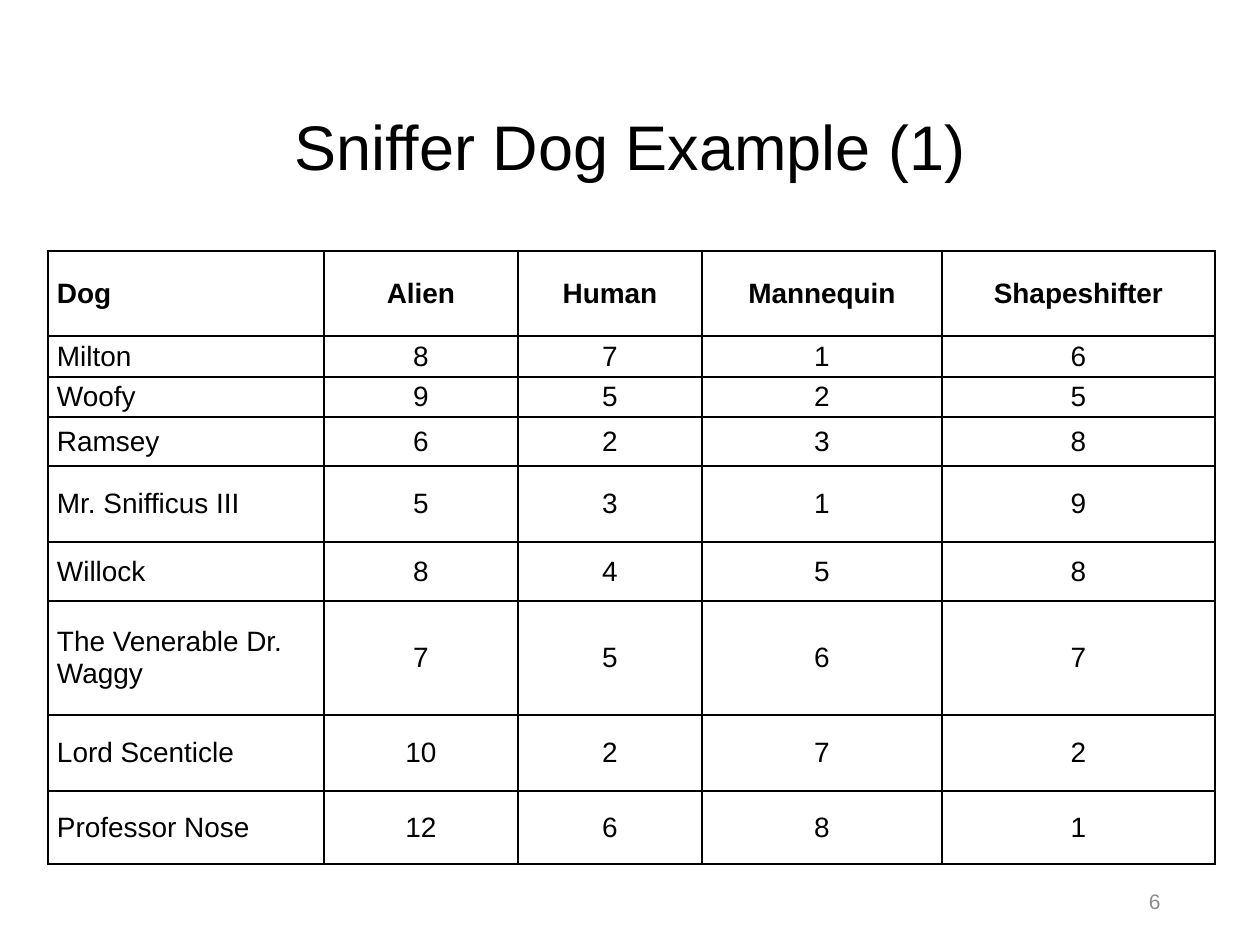
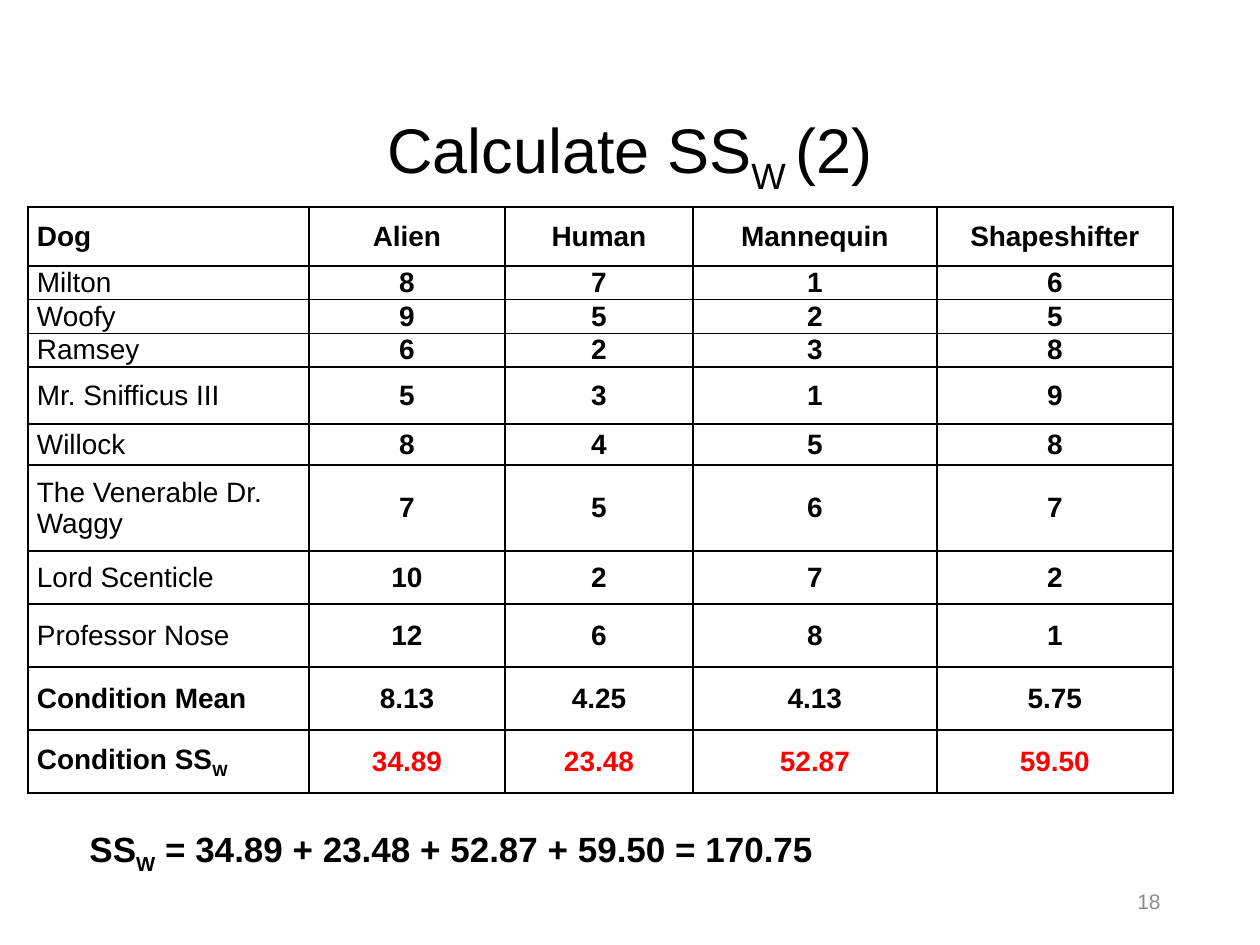
from lxml import etree
from pptx import Presentation
from pptx.dml.color import RGBColor
from pptx.enum.text import MSO_ANCHOR, MSO_AUTO_SIZE, PP_ALIGN
from pptx.oxml.ns import qn
from pptx.util import Emu, Pt

LEFT, CENTER, RIGHT = PP_ALIGN.LEFT, PP_ALIGN.CENTER, PP_ALIGN.RIGHT
MIDDLE = MSO_ANCHOR.MIDDLE
NO_AUTOFIT = MSO_AUTO_SIZE.NONE
TITLE_ONLY = 5

# Shared style
PX_PER_INCH = 126
FONT = "Arial"
BLACK, GREY, RED = "000000", "8C8C8C", "FF0000"
TITLE_SIZE, FORMULA_SIZE, TABLE_SIZE, NUMBER_SIZE = 36, 20, 16, 12
TITLE_BOX = (87, 59, 1086, 183)
NUMBER_BOX = (890, 876, 283, 50)
CELL_INSET = 9

# Table content; the text between two bars is a subscript
HEADER = ("Dog", "Alien", "Human", "Mannequin", "Shapeshifter")
SCORES = [
    ("Milton", 8, 7, 1, 6),
    ("Woofy", 9, 5, 2, 5),
    ("Ramsey", 6, 2, 3, 8),
    ("Mr. Snifficus III", 5, 3, 1, 9),
    ("Willock", 8, 4, 5, 8),
    ("The Venerable Dr. Waggy", 7, 5, 6, 7),
    ("Lord Scenticle", 10, 2, 7, 2),
    ("Professor Nose", 12, 6, 8, 1),
]
MEANS = ("Condition Mean", "8.13", "4.25", "4.13", "5.75")
SQUARES = ("Condition SS|W|", "34.89", "23.48", "52.87", "59.50")


def px(length):
    return Emu(round(length * 914400 / PX_PER_INCH))


def color(hex_string):
    return RGBColor.from_string(hex_string)


def write(text_frame, text, size, align=LEFT, hex_color=BLACK, bold=False):
    """Write one paragraph, with the text between bars as subscript."""
    paragraph = text_frame.paragraphs[0]
    paragraph.alignment = align
    for index, piece in enumerate(text.split("|")):
        if not piece:
            continue
        run = paragraph.add_run()
        run.text = piece
        run.font.name = FONT
        run.font.size = Pt(size)
        run.font.bold = bold
        run.font.color.rgb = color(hex_color)
        if index % 2:
            run._r.get_or_add_rPr().set("baseline", "-25000")
    return paragraph


def add_text(slide, box, text, size, **style):
    text_frame = slide.shapes.add_textbox(*map(px, box)).text_frame
    text_frame.word_wrap = True
    text_frame.vertical_anchor = MIDDLE
    write(text_frame, text, size, **style)


def add_titled_slide(presentation, title, number):
    slide = presentation.slides.add_slide(presentation.slide_layouts[TITLE_ONLY])
    shape = slide.shapes.title
    shape.left, shape.top, shape.width, shape.height = map(px, TITLE_BOX)
    shape.text_frame.auto_size = NO_AUTOFIT
    shape.text_frame.vertical_anchor = MIDDLE
    write(shape.text_frame, title, TITLE_SIZE, CENTER).line_spacing = 0.9
    add_text(slide, NUMBER_BOX, str(number), NUMBER_SIZE, align=RIGHT, hex_color=GREY)
    return slide


def add_borders(cell):
    properties = cell._tc.get_or_add_tcPr()
    for side in ("a:lnL", "a:lnR", "a:lnT", "a:lnB"):
        line = etree.SubElement(properties, qn(side), w=str(Pt(1)))
        fill = etree.SubElement(line, qn("a:solidFill"))
        etree.SubElement(fill, qn("a:srgbClr"), val=BLACK)


def format_cell(cell):
    add_borders(cell)
    cell.fill.background()
    cell.vertical_anchor = MIDDLE
    cell.margin_left = cell.margin_right = px(CELL_INSET)
    cell.margin_top = cell.margin_bottom = 0


def add_score_table(slide, left, top, widths, heights, rows, is_bold, red_row=None):
    box = (left, top, sum(widths), sum(heights))
    table = slide.shapes.add_table(len(rows), len(widths), *map(px, box)).table
    table.first_row = table.horz_banding = False
    for column, width in zip(table.columns, widths):
        column.width = px(width)
    for row, height in zip(table.rows, heights):
        row.height = px(height)
    for row_index, values in enumerate(rows):
        for column_index, value in enumerate(values):
            cell = table.cell(row_index, column_index)
            format_cell(cell)
            is_label = column_index == 0
            is_red = row_index == red_row and not is_label
            write(cell.text_frame, str(value), TABLE_SIZE,
                  align=LEFT if is_label else CENTER,
                  hex_color=RED if is_red else BLACK,
                  bold=is_bold(row_index, column_index))


def build_example(presentation):
    slide = add_titled_slide(presentation, "Sniffer Dog Example (1)", 6)
    add_score_table(
        slide, 48, 251,
        widths=(276, 194, 184, 240, 273),
        heights=(85, 41, 40, 49, 76, 59, 114, 76, 73),
        rows=[HEADER, *SCORES],
        is_bold=lambda row, column: row == 0)


def build_calculation(presentation):
    slide = add_titled_slide(presentation, "Calculate SS|W |(2)", 18)
    rows = [HEADER, *SCORES, MEANS, SQUARES]
    # Only the dogs' names are in regular weight
    add_score_table(
        slide, 28, 207,
        widths=(281, 196, 188, 244, 236),
        heights=(59, 33, 33, 34, 57, 41, 86, 53, 63, 63, 63),
        rows=rows,
        is_bold=lambda row, column: column > 0 or not 1 <= row <= len(SCORES),
        red_row=len(rows) - 1)
    formula = "SS|W| = " + " + ".join(SQUARES[1:]) + " = 170.75"
    add_text(slide, (77, 824, 988, 55), formula, FORMULA_SIZE, bold=True)


def main():
    presentation = Presentation()
    presentation.slide_width = px(1260)
    presentation.slide_height = px(945)
    build_example(presentation)
    build_calculation(presentation)
    presentation.save("out.pptx")


if __name__ == "__main__":
    main()
